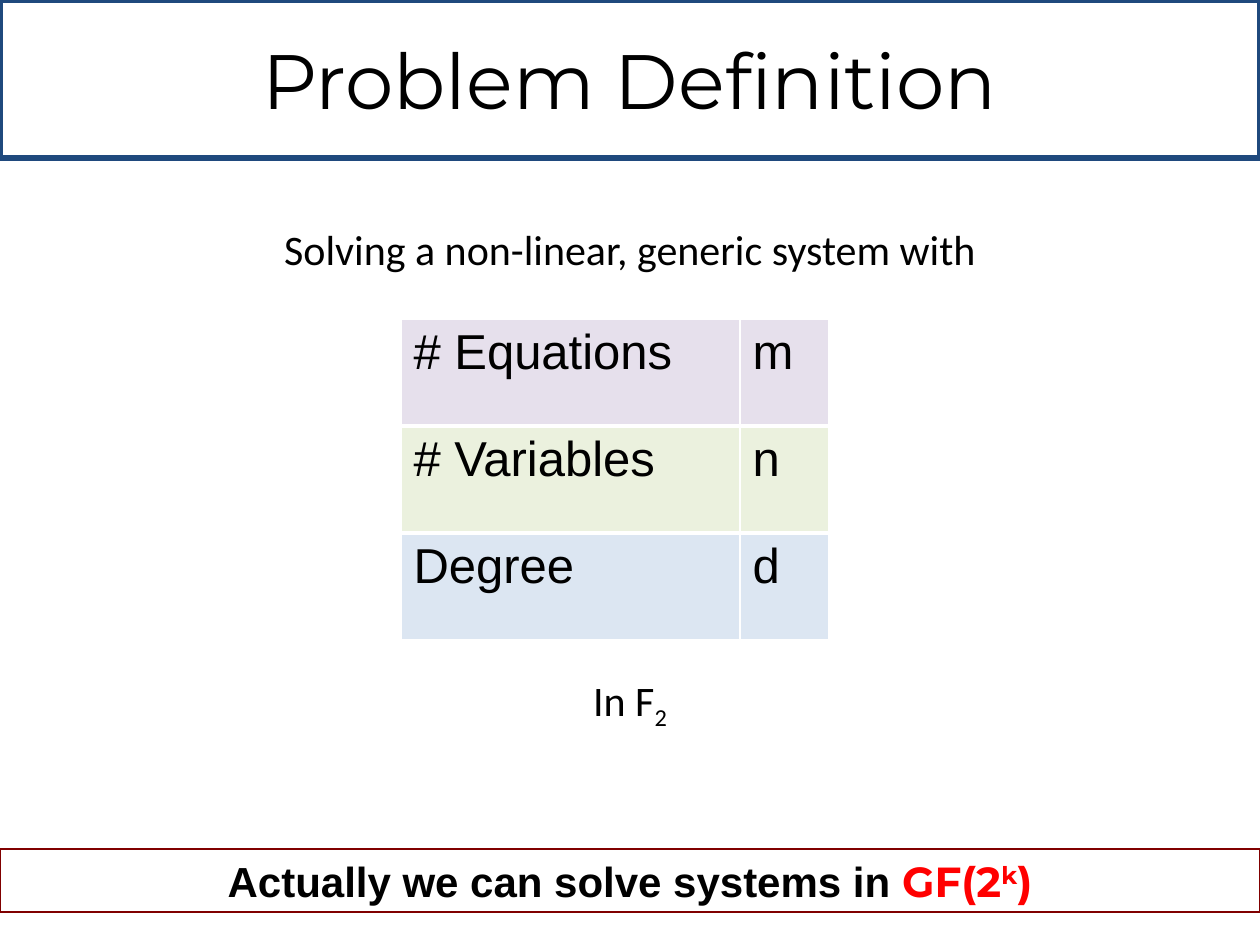
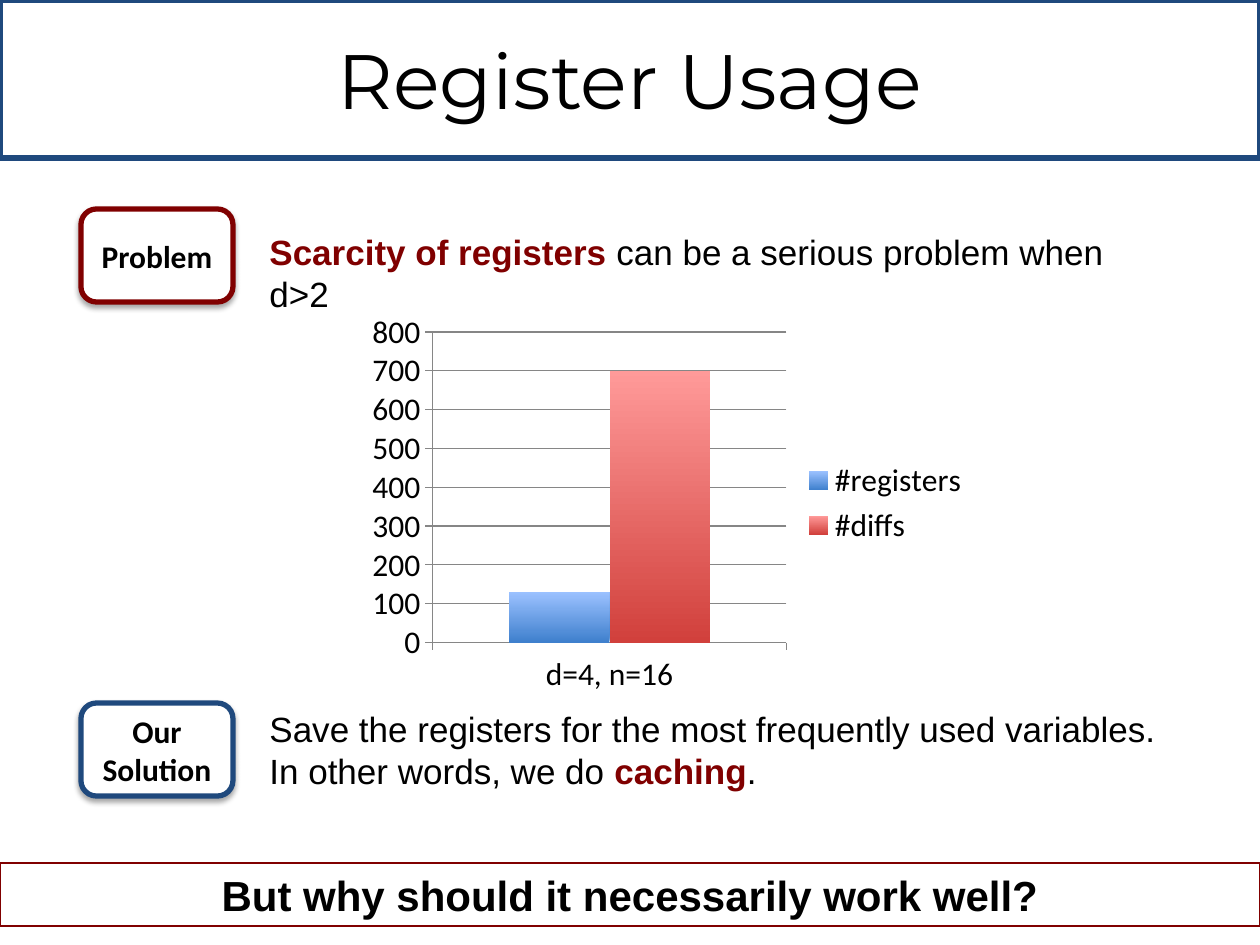
"""Build two slides on solving non-linear systems and on register usage."""
from lxml import etree
from pptx import Presentation
from pptx.chart.data import CategoryChartData
from pptx.dml.color import RGBColor
from pptx.enum import chart as ch, shapes, text
from pptx.oxml.ns import qn
from pptx.util import Emu, Pt

COLORS = {
    "black": "000000", "white": "FFFFFF", "navy": "1F497D", "maroon": "800000",
    "red": "FF0000", "lilac": "E6E0EC", "lime": "EBF1DE", "sky": "DCE6F2", "grid": "868686",
}
STYLES = {
    "title": {"size": 44, "name": "Montserrat"},
    "statement": {"size": 24, "name": "Calibri"},
    "banner": {"size": 24, "name": "Arial", "bold": True},
    "cell": {"size": 28, "name": "Arial"},
    "body": {"size": 20, "name": "Arial"},
    "badge": {"size": 18, "name": "Calibri", "bold": True},
    "chart": {"size": 18, "name": "Calibri"},
}
PLAIN = {"bold": False, "color": "black"}
KEY = {"bold": True, "color": "maroon"}
FORMULA = {"name": "Montserrat", "color": "red"}

WIDTH, HEIGHT, TITLE_HEIGHT = 1260, 945, 158
BANNER_HEIGHT = STATEMENT_HEIGHT = 63
BADGE_LEFT, BADGE_WIDTH, BADGE_HEIGHT = 81, 152, 93
POINT_LEFT, POINT_WIDTH = 257, 927

DEFINITION = {
    "title": "Problem Definition",
    "statements": [
        (217, [("Solving a non-linear, generic system with", {})]),
        (668, [("In F", {}), ("2", {"baseline": -25})]),
    ],
    "sizes": [("# Equations", "m", "lilac"), ("# Variables", "n", "lime"), ("Degree", "d", "sky")],
    "sizes_at": (401, 319),
    "columns": (339, 89),
    "row": 107,
    "banner": (849, [("Actually we can solve systems in ", {}), ("GF(2", FORMULA),
                     ("k", {**FORMULA, "baseline": 30}), (")", FORMULA)]),
}
REGISTERS = {
    "title": "Register Usage",
    "points": [
        ("Problem", "maroon", 209, 224, 55,
         [("Scarcity of registers ", KEY), ("can be a serious problem when d>2", PLAIN)]),
        ("Our Solution", "navy", 703, 701, 97,
         [("Save the registers for the most frequently used variables. In other words, we do ", PLAIN),
          ("caching", KEY), (".", PLAIN)]),
    ],
    "usage_at": (360, 305, 622, 396),
    "case": "d=4, n=16",
    "usage": [("#registers", 130, ("3F80CD", "9BC1FF")), ("#diffs", 700, ("D1403C", "FF9A99"))],
    "banner": (863, [("But why should it necessarily work well?", {})]),
}


def px(*lengths):
    return [Emu(round(length * 914400 / 126)) for length in lengths]


def rgb(color):
    return RGBColor.from_string(COLORS.get(color, color))


def set_font(font, style):
    for key, value in {"color": "black", **style}.items():
        if key == "color":
            font.color.rgb = rgb(value)
        elif key != "baseline":
            setattr(font, key, Pt(value) if key == "size" else value)


def write(frame, runs, style, align=None):
    paragraph = frame.paragraphs[0]
    paragraph.alignment = align
    for words, extra in runs:
        run = paragraph.add_run()
        run.text = words
        set_font(run.font, {**STYLES[style], **extra})
        if "baseline" in extra:
            run._r.get_or_add_rPr().set("baseline", str(extra["baseline"] * 1000))


def set_line(line, color, width):
    line.color.rgb = rgb(color)
    line.width = Pt(width)


def add_box(slide, at, runs, style, align=None):
    box = slide.shapes.add_textbox(*px(*at))
    box.text_frame.word_wrap = True
    box.text_frame.auto_size = text.MSO_AUTO_SIZE.SHAPE_TO_FIT_TEXT
    write(box.text_frame, runs, style, align)
    return box


def add_slide(deck, content):
    slide = deck.slides.add_slide(deck.slide_layouts[5])
    title = slide.shapes.title
    title.left, title.top, title.width, title.height = px(0, 0, WIDTH, TITLE_HEIGHT)
    title.text_frame.vertical_anchor = text.MSO_ANCHOR.MIDDLE
    write(title.text_frame, [(content["title"], {})], "title", text.PP_ALIGN.CENTER)
    set_line(title.line, "navy", 3)
    top, runs = content["banner"]
    banner = add_box(slide, (0, top, WIDTH, BANNER_HEIGHT), runs, "banner", text.PP_ALIGN.CENTER)
    set_line(banner.line, "maroon", 0.75)
    return slide


def add_border(cell, side):
    border = etree.Element(qn(f"a:{side}"), w=str(Pt(3)))
    fill = etree.SubElement(border, qn("a:solidFill"))
    etree.SubElement(fill, qn("a:srgbClr"), val=COLORS["white"])
    cell._tc.get_or_add_tcPr().insert(0, border)


def add_sizes(slide, content):
    sizes, columns, row_height = content["sizes"], content["columns"], content["row"]
    table = slide.shapes.add_table(len(sizes), len(columns), *px(
        *content["sizes_at"], sum(columns), row_height * len(sizes))).table
    table.first_row = table.horz_banding = False
    for column, width in zip(table.columns, px(*columns)):
        column.width = width
    for row, (*words, color) in enumerate(sizes):
        for column, word in enumerate(words):
            cell = table.cell(row, column)
            write(cell.text_frame, [(word, {})], "cell")
            cell.fill.solid()
            cell.fill.fore_color.rgb = rgb(color)
            if row < 2:
                add_border(cell, ("lnB", "lnT")[row])


def add_badge(slide, label, color, top):
    badge = slide.shapes.add_shape(shapes.MSO_SHAPE.ROUNDED_RECTANGLE,
                                   *px(BADGE_LEFT, top, BADGE_WIDTH, BADGE_HEIGHT))
    badge.fill.solid()
    badge.fill.fore_color.rgb = rgb("white")
    set_line(badge.line, color, 3)
    badge.shadow.inherit = False
    effects = badge._element.spPr.find(qn("a:effectLst"))
    shadow = etree.SubElement(effects, qn("a:outerShdw"), blurRad=str(Pt(3.1)),
                              dist=str(Pt(1.8)), dir="5400000", rotWithShape="0")
    shade = etree.SubElement(shadow, qn("a:srgbClr"), val=COLORS["black"])
    etree.SubElement(shade, qn("a:alpha"), val="35000")
    badge.text_frame.word_wrap = True
    badge.text_frame.vertical_anchor = text.MSO_ANCHOR.MIDDLE
    write(badge.text_frame, [(label, {})], "badge", text.PP_ALIGN.CENTER)


def add_usage(slide, content):
    data = CategoryChartData()
    data.categories = [content["case"]]
    for name, count, _ in content["usage"]:
        data.add_series(name, [count])
    usage = slide.shapes.add_chart(ch.XL_CHART_TYPE.COLUMN_CLUSTERED,
                                   *px(*content["usage_at"]), data).chart
    set_font(usage.font, STYLES["chart"])
    usage.has_title = False
    usage.has_legend = True
    usage.legend.position = ch.XL_LEGEND_POSITION.RIGHT
    usage.legend.include_in_layout = False
    for axis in (usage.category_axis, usage.value_axis):
        axis.major_tick_mark = ch.XL_TICK_MARK.OUTSIDE
        set_line(axis.format.line, "grid", 0.75)
    scale = {"minimum_scale": 0, "maximum_scale": 800, "major_unit": 100}
    for key, value in scale.items():
        setattr(usage.value_axis, key, value)
    set_line(usage.value_axis.major_gridlines.format.line, "grid", 0.75)
    plot = usage.plots[0]
    plot.gap_width, plot.overlap, plot.vary_by_categories = 150, 0, False
    for series, (_, _, shades) in zip(plot.series, content["usage"]):
        fill = series.format.fill
        fill.gradient()
        fill.gradient_angle = 90
        for stop, shade in zip(fill.gradient_stops, shades):
            stop.color.rgb = rgb(shade)


def main():
    deck = Presentation()
    deck.slide_width, deck.slide_height = px(WIDTH, HEIGHT)

    definition = add_slide(deck, DEFINITION)
    for top, runs in DEFINITION["statements"]:
        add_box(definition, (0, top, WIDTH, STATEMENT_HEIGHT), runs, "statement",
                text.PP_ALIGN.CENTER)
    add_sizes(definition, DEFINITION)

    registers = add_slide(deck, REGISTERS)
    add_usage(registers, REGISTERS)
    for label, color, badge_top, top, height, runs in REGISTERS["points"]:
        add_badge(registers, label, color, badge_top)
        add_box(registers, (POINT_LEFT, top, POINT_WIDTH, height), runs, "body")
    deck.save("out.pptx")


if __name__ == "__main__":
    main()
